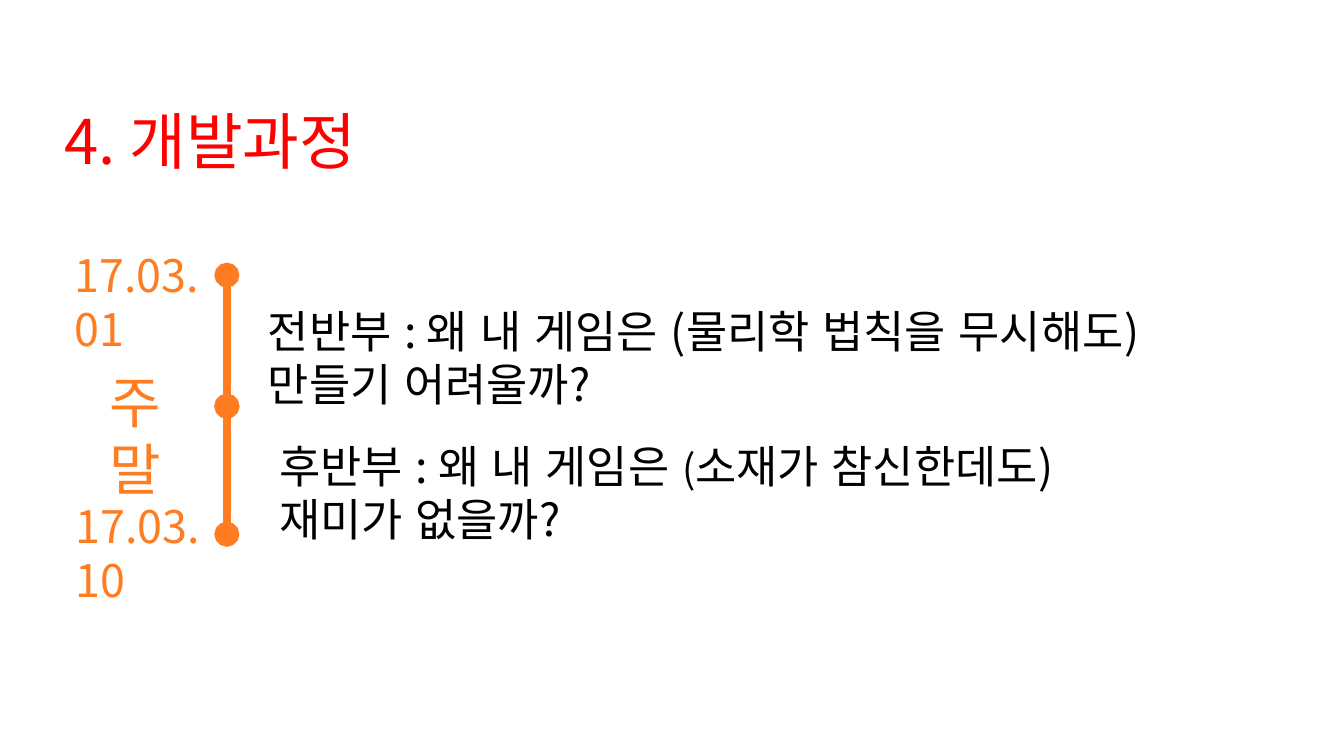
"""Build the development timeline slide."""
from dataclasses import dataclass

from lxml.etree import SubElement
from pptx import Presentation
from pptx.dml.color import RGBColor
from pptx.enum.lang import MSO_LANGUAGE_ID
from pptx.enum.shapes import MSO_CONNECTOR
from pptx.enum.text import MSO_AUTO_SIZE
from pptx.oxml.ns import qn
from pptx.slide import Slide
from pptx.util import Inches, Pt

FONT = "Noto Sans CJK KR"
RED, BLACK, ORANGE = "FF0000", "000000", "FF7C21"
AXIS_X = 2.25
MILESTONES = [2.73, 4.03, 5.3]
FRAME_FORMAT = {"word_wrap": True, "auto_size": MSO_AUTO_SIZE.SHAPE_TO_FIT_TEXT}
FONT_FORMAT = {"name": FONT, "language_id": MSO_LANGUAGE_ID.KOREAN}


@dataclass
class Label:
    left: float
    top: float
    width: float
    height: float
    color: str
    pieces: list[tuple[str, int]]


LABELS = [
    Label(0.54, 0.97, 7.53, 0.84, RED, [("4. 개발과정", 44)]),
    Label(2.67, 4.3, 8.39, 0.64, BLACK,
          [("후반부 : 왜 내 게임은 ", 32), ("(", 28), ("소재가 참신한데도) 재미가 없을까?", 32)]),
    Label(2.56, 2.96, 9.4, 0.64, BLACK,
          [("전반부 : 왜 내 게임은 (물리학 법칙을 무시해도) 만들기 어려울까?", 32)]),
    Label(0.65, 4.9, 1.46, 0.64, ORANGE, [("17.03.10", 32)]),
    Label(0.64, 2.41, 1.46, 0.64, ORANGE, [("17.03.01", 32)]),
    Label(0.99, 3.6, 0.96, 0.77, ORANGE, [("주말", 40)]),
]


def rgb(value: str) -> RGBColor:
    return RGBColor.from_string(value)


def apply_format(target: object, values: dict) -> None:
    for attribute, value in values.items():
        setattr(target, attribute, value)


def draw_label(slide: Slide, label: Label) -> None:
    box = slide.shapes.add_textbox(
        *map(Inches, (label.left, label.top, label.width, label.height)))
    apply_format(box.text_frame, FRAME_FORMAT)
    paragraph = box.text_frame.paragraphs[0]
    for text, size in label.pieces:
        run = paragraph.add_run()
        run.text = text
        apply_format(run.font, FONT_FORMAT | {"size": Pt(size)})
        run.font.color.rgb = rgb(label.color)
        SubElement(run.font._element, qn("a:ea"), typeface=FONT)


def draw_period(slide: Slide, start: float, end: float) -> None:
    period = slide.shapes.add_connector(
        MSO_CONNECTOR.STRAIGHT, *map(Inches, (AXIS_X, start, AXIS_X, end)))
    period.line.color.rgb = rgb(ORANGE)
    period.line.width = Pt(6)
    outline = period.line._get_or_add_ln()
    for tag in ("a:headEnd", "a:tailEnd"):
        SubElement(outline, qn(tag), type="oval")
    SubElement(period._element.spPr, qn("a:effectLst"))


def main() -> None:
    deck = Presentation()
    apply_format(deck, {"slide_width": Inches(13.33), "slide_height": Inches(7.5)})
    slide = deck.slides.add_slide(deck.slide_layouts[6])
    for start, end in zip(MILESTONES, MILESTONES[1:]):
        draw_period(slide, start, end)
    for label in LABELS:
        draw_label(slide, label)
    deck.save("out.pptx")


if __name__ == "__main__":
    main()
